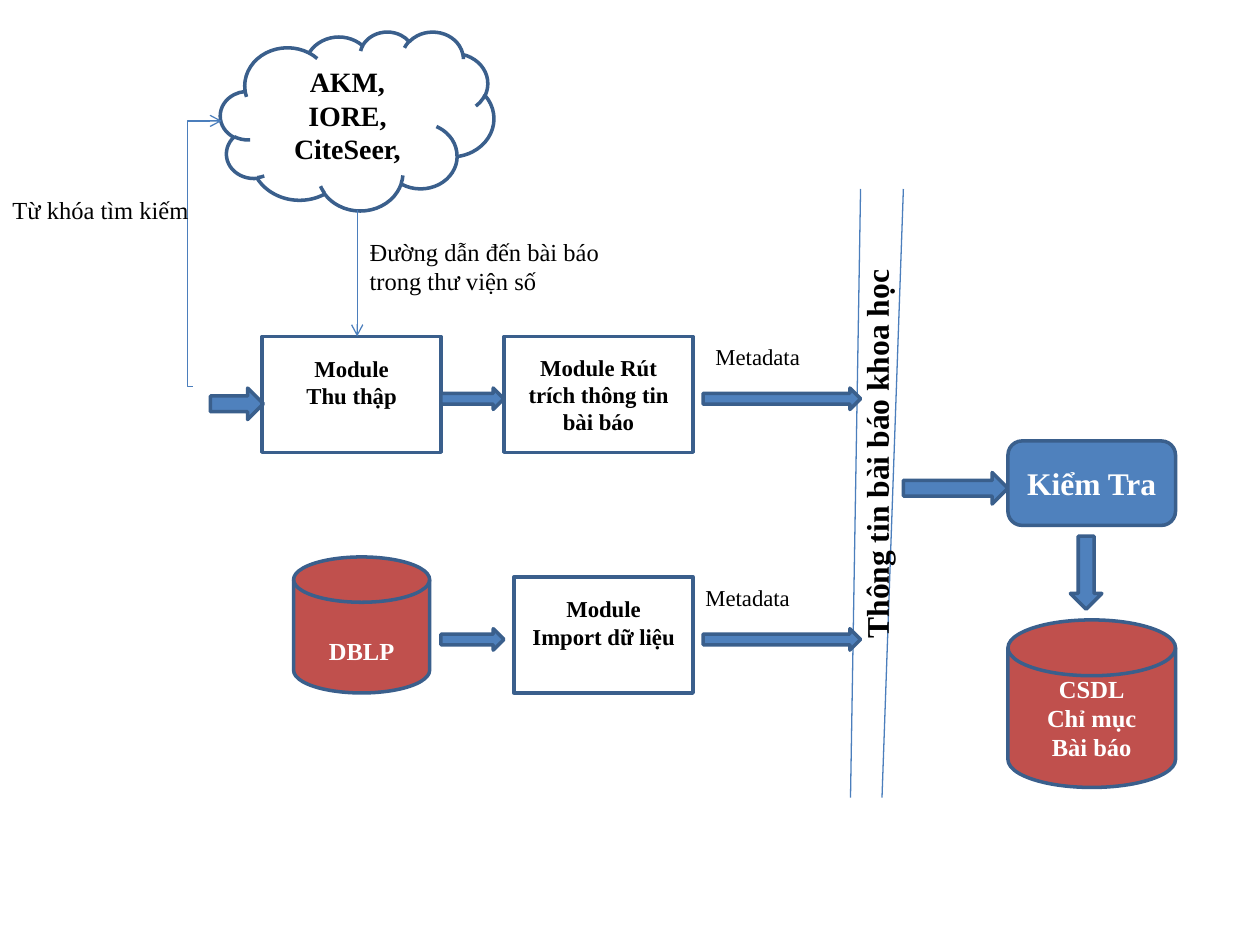
import pptx
import pptx.dml.color
import pptx.enum.shapes
import pptx.enum.text
import pptx.oxml
import pptx.oxml.ns
import pptx.util

Inches = pptx.util.Inches
Pt = pptx.util.Pt
SHAPE = pptx.enum.shapes.MSO_SHAPE
CONNECTOR = pptx.enum.shapes.MSO_CONNECTOR
ALIGN = pptx.enum.text.PP_ALIGN
ANCHOR = pptx.enum.text.MSO_ANCHOR

FONT = "Times New Roman"
BLACK, WHITE = "000000", "FFFFFF"
BLUE, RED = "4F81BD", "C0504D"
OUTLINE, THIN = "3A5F8C", "4B7EBC"
INSET = 0.05


def color(value):
    return pptx.dml.color.RGBColor.from_string(value)


def write(tf, lines, size, font_color, bold, align):
    tf.text = "\n".join(lines)
    for p in tf.paragraphs:
        p.alignment = align
        p.font.name = FONT
        p.font.size = Pt(size)
        p.font.bold = bold
        p.font.color.rgb = color(font_color)


def add_shape(s, kind, x, y, w, h, fill=None, lines=(), size=13,
              font_color=BLACK, pad_top=0, pad_bottom=0):
    sp = s.shapes.add_shape(kind, Inches(x), Inches(y), Inches(w), Inches(h))
    sp.shadow.inherit = False
    if fill:
        sp.fill.solid()
        sp.fill.fore_color.rgb = color(fill)
    else:
        sp.fill.background()
    sp.line.color.rgb = color(OUTLINE)
    sp.line.width = Pt(2)
    if lines:
        tf = sp.text_frame
        tf.word_wrap = True
        tf.vertical_anchor = ANCHOR.MIDDLE
        tf.margin_top = Inches(INSET + pad_top)
        tf.margin_bottom = Inches(INSET + pad_bottom)
        write(tf, lines, size, font_color, True, ALIGN.CENTER)
    return sp


def add_arrow(s, x, y, w, h):
    return add_shape(s, SHAPE.RIGHT_ARROW, x, y, w, h, BLUE)


def add_label(s, x, y, w, h, lines, size, bold=False, wrap=True):
    sp = s.shapes.add_textbox(Inches(x), Inches(y), Inches(w), Inches(h))
    tf = sp.text_frame
    tf.word_wrap = wrap
    tf.auto_size = pptx.enum.text.MSO_AUTO_SIZE.SHAPE_TO_FIT_TEXT
    write(tf, lines, size, BLACK, bold, ALIGN.LEFT)
    return sp


def add_line(s, x1, y1, x2, y2, kind=CONNECTOR.STRAIGHT, arrow=False):
    line = s.shapes.add_connector(kind, Inches(x1), Inches(y1), Inches(x2), Inches(y2))
    line.line.color.rgb = color(THIN)
    line.line.width = Pt(0.75)
    if arrow:
        ln = line.line._get_or_add_ln()
        ln.append(ln.makeelement(pptx.oxml.ns.qn("a:tailEnd"), {"type": "arrow"}))
    sp_pr = line._element.spPr
    sp_pr.append(sp_pr.makeelement(pptx.oxml.ns.qn("a:effectLst")))
    return line


def set_bend(line, share):
    """Place the middle leg of an elbow at a share of its width."""
    geom = line._element.spPr.find(pptx.oxml.ns.qn("a:prstGeom"))
    guides = geom.find(pptx.oxml.ns.qn("a:avLst"))
    guides.append(guides.makeelement(
        pptx.oxml.ns.qn("a:gd"),
        {"name": "adj1", "fmla": f"val {round(share * 100000)}"}))


def add_search(s, x, y, w, h):
    """Digital libraries, the keywords sent to them and the links returned."""
    add_shape(s, SHAPE.CLOUD, x, y, w, h,
              lines=["AKM,", "IORE,", "CiteSeer,"], size=16, pad_bottom=0.03)
    add_line(s, x + w / 2, y + h, x + w / 2, y + h + 1, arrow=True)
    query = add_line(s, x - 0.22, y + 2.82, x + 0.01, y + h / 2,
                     CONNECTOR.ELBOW, arrow=True)
    set_bend(query, -0.177)
    add_label(s, x + w / 2, y + h + 0.16, 2.08, 0.57,
              ["Đường dẫn đến bài báo", "trong thư viện số"], 14, wrap=False)
    add_label(s, x - 1.75, y + 1.25, 1.61, 0.34, ["Từ khóa tìm kiếm"], 14, wrap=False)


def add_module(s, x, y, w, h, lines, pad_bottom=0):
    add_shape(s, SHAPE.RECTANGLE, x, y, w, h, lines=lines, pad_bottom=pad_bottom)


def add_metadata_flow(s, x, y, label_x):
    """Arrow into the last module of a row and the metadata leaving it."""
    add_arrow(s, x, y + 0.41, 0.5, 0.17)
    add_arrow(s, x + 2.08, y + 0.41, 1.25, 0.17)
    add_label(s, label_x, y, 1.75, 0.32, ["Metadata"], 13)


def add_harvest_row(s, x, y, h):
    add_arrow(s, x, y + 0.41, 0.42, 0.25)
    add_module(s, x + 0.41, y, 1.42, h, ["Module", "Thu thập"], pad_bottom=0.2)
    add_module(s, x + 2.33, y, 1.5, h, ["Module Rút trích thông tin bài báo"])
    add_metadata_flow(s, x + 1.83, y, x + 3.91)


def add_import_row(s, x, y, h):
    add_shape(s, SHAPE.FLOWCHART_MAGNETIC_DISK, x, y - 0.16, 1.08, 1.08, RED,
              ["DBLP"], 14, WHITE, pad_top=0.22)
    add_module(s, x + 1.75, y, 1.42, h, ["Module", "Import dữ liệu"], pad_bottom=0.2)
    add_metadata_flow(s, x + 1.17, y, x + 3.17)


def add_article_channel(s, x, y, h):
    """Slanted lines around the vertical article-information label."""
    add_line(s, x + 0.08, y, x, y + h)
    add_line(s, x + 0.42, y, x + 0.25, y + h)
    label = add_label(s, x - 1.46, y + 1.8, 3.33, 0.4,
                      ["Thông tin bài báo khoa học"], 18, bold=True)
    label.rotation = 270


def add_storage(s, x, y, w):
    """Check step followed by the article index database."""
    add_arrow(s, x - 0.83, y + 0.25, 0.83, 0.25)
    add_shape(s, SHAPE.FLOWCHART_ALTERNATE_PROCESS, x, y, w, 0.67, BLUE,
              ["Kiểm Tra"], 18, WHITE)
    down = add_arrow(s, x + 0.33, y + 0.92, 0.58, 0.25)
    down.rotation = 90
    add_shape(s, SHAPE.FLOWCHART_MAGNETIC_DISK, x, y + 1.42, w, w, RED,
              ["CSDL", "Chỉ mục", "Bài báo"], 14, WHITE)


def main():
    prs = pptx.Presentation()
    prs.slide_width, prs.slide_height = Inches(10), Inches(7.5)
    s = prs.slides.add_slide(prs.slide_layouts[6])
    add_article_channel(s, 6.75, 1.5, 4.83)
    add_storage(s, 8, 3.5, 1.33)
    add_harvest_row(s, 1.67, 2.67, 0.92)
    add_import_row(s, 2.33, 4.58, 0.92)
    add_search(s, 1.75, 0.25, 2.17, 1.42)
    prs.save("out.pptx")


if __name__ == "__main__":
    main()
